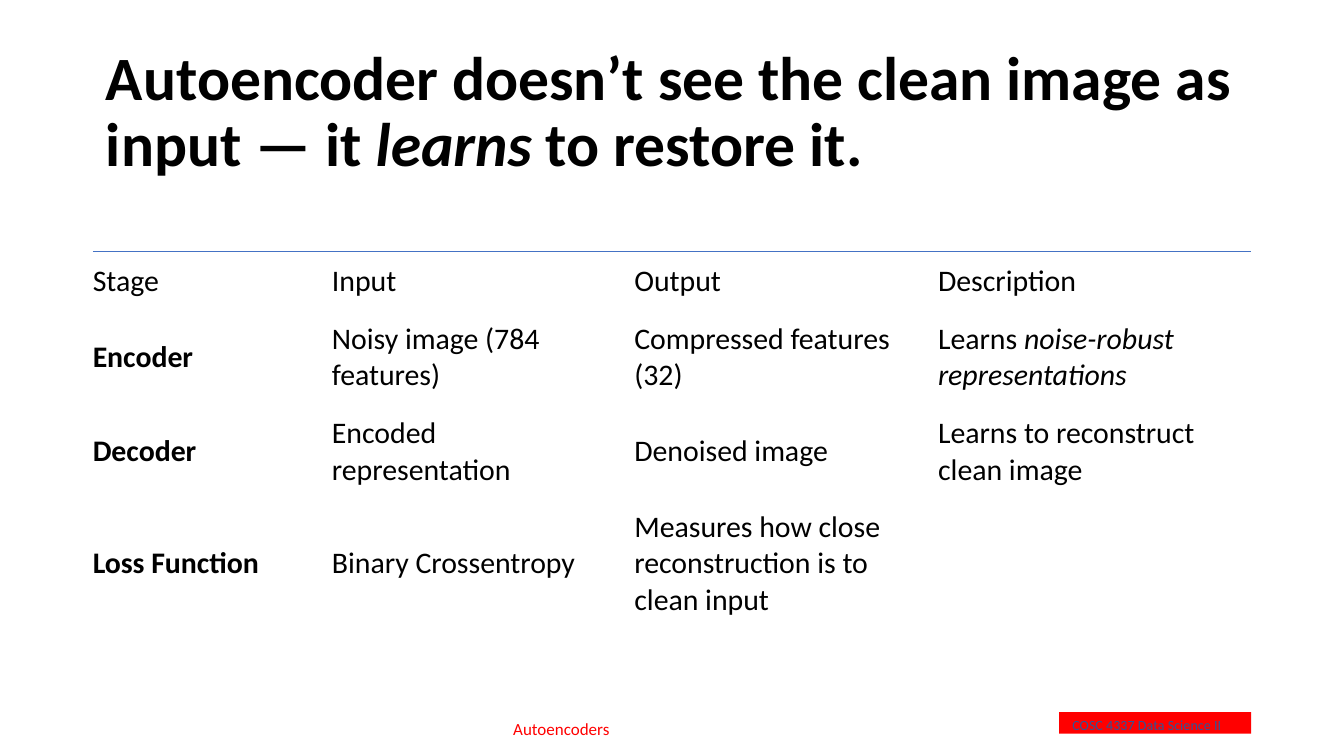
from pptx import Presentation
from pptx import util as u
from pptx.dml.color import RGBColor
from pptx.enum import shapes, text
from pptx.oxml import parse_xml
from pptx.oxml.ns import nsdecls

COLORS = {"ink": "000000", "red": "FF0000", "navy": "2F5597", "rule": "4472C4"}
FONT = "Calibri"

TITLE = [
    ("Autoencoder doesn’t see the clean image as input — it ", "b"),
    ("learns", "bi"),
    (" to restore it.", "b"),
]
COLS = [1.78, 2.25, 2.26, 2.33]
ROWS = [0.44, 0.7, 0.7, 0.97]
STAGES = [
    ["Stage", "Input", "Output", "Description"],
    ["Encoder", "Noisy image (784 features)", "Compressed features (32)",
     [("Learns ", ""), ("noise-robust representations", "i")]],
    ["Decoder", "Encoded representation", "Denoised image",
     "Learns to reconstruct clean image"],
    ["Loss Function", "Binary Crossentropy",
     "Measures how close reconstruction is to clean input", ""],
]


def color(name):
    return RGBColor.from_string(COLORS[name])


def write(frame, runs, size, ink="ink"):
    """Fill the first paragraph with (text, style) runs; style holds b and i."""
    para = frame.paragraphs[0]
    for words, style in runs:
        run = para.add_run()
        run.text = words
        font = run.font
        font.name, font.size = FONT, u.Pt(size)
        font.bold, font.italic = "b" in style, "i" in style
        font.color.rgb = color(ink)
    return para


def add_text(slide, box, runs, size, ink="ink", anchor=text.MSO_ANCHOR.TOP):
    frame = slide.shapes.add_textbox(*map(u.Inches, box)).text_frame
    frame.word_wrap = True
    frame.vertical_anchor = anchor
    return write(frame, runs, size, ink)


def add_bar(slide, box):
    bar = slide.shapes.add_shape(shapes.MSO_SHAPE.RECTANGLE, *map(u.Inches, box))
    bar.shadow.inherit = False
    bar.fill.solid()
    bar.fill.fore_color.rgb = color("red")
    bar.line.fill.background()


def set_edges(cell, ruled):
    """Clear the borders of a cell, but for a thin top line if ruled."""
    props = cell._tc.get_or_add_tcPr()
    line = f'<a:solidFill><a:srgbClr val="{COLORS["rule"]}"/></a:solidFill>'
    for spot, side in enumerate("LRTB"):
        fill = line if ruled and side == "T" else "<a:noFill/>"
        props.insert(spot, parse_xml(
            f'<a:ln{side} {nsdecls("a")} w="{u.Pt(0.75)}">{fill}</a:ln{side}>'))


def add_grid(slide, left, top):
    box = map(u.Inches, (left, top, sum(COLS), sum(ROWS)))
    grid = slide.shapes.add_table(len(ROWS), len(COLS), *box).table
    grid.first_row = grid.horz_banding = False
    for col, width in zip(grid.columns, COLS):
        col.width = u.Inches(width)
    for r, (row, height) in enumerate(zip(grid.rows, ROWS)):
        row.height = u.Inches(height)
        for c, entry in enumerate(STAGES[r]):
            cell = grid.cell(r, c)
            cell.fill.background()
            cell.vertical_anchor = text.MSO_ANCHOR.MIDDLE
            cell.margin_left, cell.margin_right = 0, u.Inches(0.13)
            cell.margin_top = cell.margin_bottom = u.Inches(0.07)
            set_edges(cell, r == 0)
            if isinstance(entry, str):
                entry = [(entry, "b" if r and c == 0 else "")]
            if entry[0][0]:
                write(cell.text_frame, entry, 16)


def main():
    deck = Presentation()
    deck.slide_width = u.Inches(10)
    deck.slide_height = deck.slide_width * 9 // 16
    slide = deck.slides.add_slide(deck.slide_layouts[6])
    add_bar(slide, (7.88, 5.3, 1.43, 0.16))
    add_text(slide, (7.88, 5.28, 2.45, 0.23),
             [("COSC 4337 Data Science II", "")], 7.5, "navy")
    add_text(slide, (3.72, 5.3, 3.02, 0.25), [("Autoencoders", "")], 9.1, "red")
    title = add_text(slide, (0.69, 0.3, 8.62, 1.09), TITLE, 33,
                     anchor=text.MSO_ANCHOR.MIDDLE)
    title.line_spacing = 0.9
    add_grid(slide, 0.69, 1.87)
    deck.save("out.pptx")


if __name__ == "__main__":
    main()
